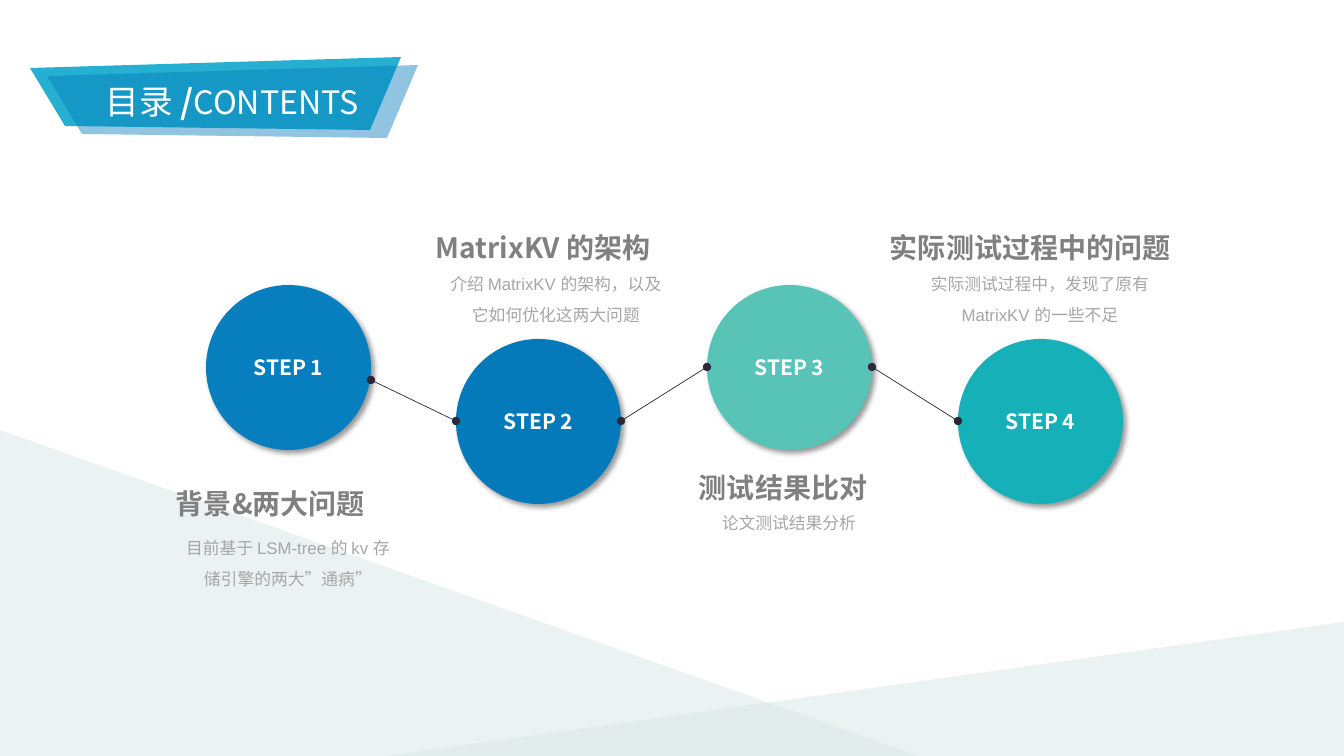
from dataclasses import dataclass

from lxml import etree
from pptx import Presentation
from pptx import util as u
from pptx.dml.color import RGBColor
from pptx.enum import shapes, text
from pptx.oxml import parse_xml
from pptx.oxml.ns import nsdecls, qn

PX = 914400 / 100.8
WIDTH, HEIGHT = 1344, 756


@dataclass(frozen=True)
class Theme:
    heading_font: str = "Noto Sans CJK SC"
    body_font: str = "Arial"
    white: str = "FFFFFF"
    backdrop: str = "DDE9E8"
    banner_back: str = "25B0D2"
    banner_front: str = "047ABA"
    heading: str = "808080"
    body: str = "A6A6A6"
    line: str = "2B2939"
    steps: tuple = ("077FBF", "047ABA", "58C4B8", "15B0B8")
    title_size: int = 24
    title_latin_size: int = 23
    heading_size: int = 20
    step_size: int = 15
    body_size: int = 12


def px(*lengths):
    return [u.Emu(round(length * PX)) for length in lengths]


class ContentsSlide:
    def __init__(self, presentation, theme):
        self.theme = theme
        self.slide = presentation.slides.add_slide(presentation.slide_layouts[5])
        self.shapes = self.slide.shapes

    def paint(self, shape, color, alpha=None):
        shape.shadow.inherit = False
        shape.line.fill.background()
        shape.fill.solid()
        shape.fill.fore_color.rgb = RGBColor.from_string(color)
        if alpha:
            fill_color = shape.element.spPr.find(qn("a:solidFill"))[0]
            etree.SubElement(fill_color, qn("a:alpha")).set("val", str(alpha * 1000))

    def format_run(self, run, size, color, bold=False, font=None):
        run.font.size = u.Pt(size)
        run.font.bold = bold
        run.font.name = font or self.theme.heading_font
        run.font.color.rgb = RGBColor.from_string(color)
        east_asian = etree.SubElement(run.font._element, qn("a:ea"))
        east_asian.set("typeface", self.theme.heading_font)

    def backdrop(self, left, top, width, height, flip=False):
        triangle = self.shapes.add_shape(
            shapes.MSO_SHAPE.RIGHT_TRIANGLE, *px(left, top, width, height))
        self.paint(triangle, self.theme.backdrop, 56)
        if flip:
            triangle.element.spPr.xfrm.set("flipH", "1")

    def banner(self, left, top, color, alpha=None):
        corners = [(0, 11), (35, 69), (340, 73), (371, 0)]
        points = [(left + x, top + y) for x, y in corners]
        builder = self.shapes.build_freeform(*points[0], scale=PX)
        builder.add_line_segments(points[1:], close=True)
        self.paint(builder.convert_to_shape(), color, alpha)

    def title(self, left, top, width, height, parts):
        """Set the title from (text, size, bold) parts, in front of what is drawn so far."""
        title = self.shapes.title
        title.left, title.top, title.width, title.height = px(left, top, width, height)
        self.shapes.element.append(title.element)
        frame = title.text_frame
        frame.vertical_anchor = text.MSO_ANCHOR.MIDDLE
        paragraph = frame.paragraphs[0]
        paragraph.alignment = text.PP_ALIGN.CENTER
        for words, size, bold in parts:
            run = paragraph.add_run()
            run.text = words
            self.format_run(run, size, self.theme.white, bold)

    def step(self, left, top, size, label, color):
        circle = self.shapes.add_shape(shapes.MSO_SHAPE.OVAL, *px(left, top, size, size))
        self.paint(circle, color)
        effects = circle.element.spPr.find(qn("a:effectLst"))
        effects.append(parse_xml(
            f'<a:outerShdw {nsdecls("a")} blurRad="50800" dist="38100" dir="2700000" '
            'algn="tl" rotWithShape="0"><a:srgbClr val="000000">'
            '<a:alpha val="40000"/></a:srgbClr></a:outerShdw>'))
        frame = circle.text_frame
        frame.text = label
        frame.vertical_anchor = text.MSO_ANCHOR.MIDDLE
        frame.margin_left = frame.margin_right = u.Inches(0.07)
        frame.margin_top = frame.margin_bottom = u.Inches(0.04)
        paragraph = frame.paragraphs[0]
        paragraph.alignment = text.PP_ALIGN.CENTER
        self.format_run(paragraph.runs[0], self.theme.step_size, self.theme.white, True)

    def link(self, *ends):
        connector = self.shapes.add_connector(shapes.MSO_CONNECTOR.STRAIGHT, *px(*ends))
        connector.line.width = u.Pt(0.5)
        connector.line.color.rgb = RGBColor.from_string(self.theme.line)
        line = connector.line._get_or_add_ln()
        for end in ("a:headEnd", "a:tailEnd"):
            etree.SubElement(line, qn(end)).set("type", "oval")
        etree.SubElement(connector.element.spPr, qn("a:effectLst"))

    def text_box(self, left, top, width, height, words):
        box = self.shapes.add_textbox(*px(left, top, width, height))
        frame = box.text_frame
        frame.text = words
        frame.word_wrap = True
        frame.margin_left = frame.margin_right = 0
        frame.margin_top = frame.margin_bottom = 0
        return frame.paragraphs[0]

    def heading(self, left, top, width, words):
        paragraph = self.text_box(left, top, width, 34, words)
        self.format_run(paragraph.runs[0], self.theme.heading_size, self.theme.heading, True)

    def description(self, left, top, height, words):
        paragraph = self.text_box(left, top, 220, height, words)
        paragraph.alignment = text.PP_ALIGN.CENTER
        paragraph.line_spacing = 1.5
        self.format_run(paragraph.runs[0], self.theme.body_size, self.theme.body,
                        font=self.theme.body_font)


def main():
    presentation = Presentation()
    presentation.slide_width, presentation.slide_height = px(WIDTH, HEIGHT)
    theme = Theme()
    contents = ContentsSlide(presentation, theme)

    contents.backdrop(386, 621, 965, 135, flip=True)
    contents.backdrop(0, 430, 919, 326)
    contents.banner(30, 57, theme.banner_back)
    contents.banner(47, 65, theme.banner_front, 44)
    contents.title(47, 65, 371, 73, [
        ("目录 ", theme.title_size, False),
        ("/", theme.title_size, True),
        ("CONTENTS", theme.title_latin_size, False),
    ])

    diameter = 165
    lefts = [206 + index * 752 // 3 for index in range(4)]
    tops = [285, 339, 285, 339]
    for index, color in enumerate(theme.steps):
        contents.step(lefts[index], tops[index], diameter, f"STEP {index + 1}", color)

    middles = [top + diameter // 2 for top in tops]
    starts = [380] + middles[1:]  # the first link leaves a little below the middle
    for index in range(3):
        contents.link(lefts[index] + diameter, starts[index],
                      lefts[index + 1], middles[index + 1])

    topics = [
        ((176, 486, 269), "背景&两大问题",
         (178, 528, 62), "目前基于 LSM-tree 的 kv 存储引擎的两大”通病”"),
        ((436, 230, 242), "MatrixKV 的架构",
         (446, 264, 62), "介绍 MatrixKV 的架构，以及它如何优化这两大问题"),
        ((699, 470, 182), "测试结果比对",
         (679, 503, 31), "论文测试结果分析"),
        ((890, 230, 300), "实际测试过程中的问题",
         (930, 264, 62), "实际测试过程中，发现了原有 MatrixKV 的一些不足"),
    ]
    for heading_place, heading, description_place, description in topics:
        contents.heading(*heading_place, heading)
        contents.description(*description_place, description)

    presentation.save("out.pptx")


if __name__ == "__main__":
    main()
